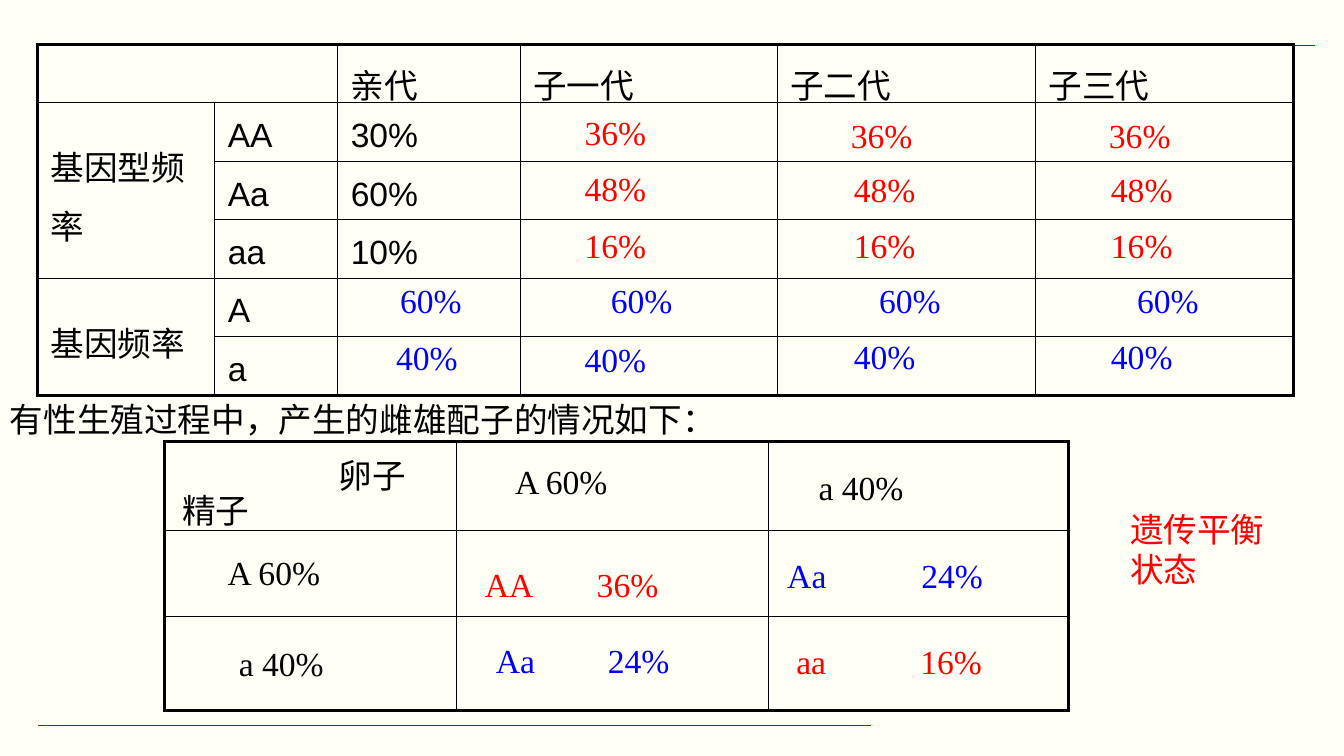
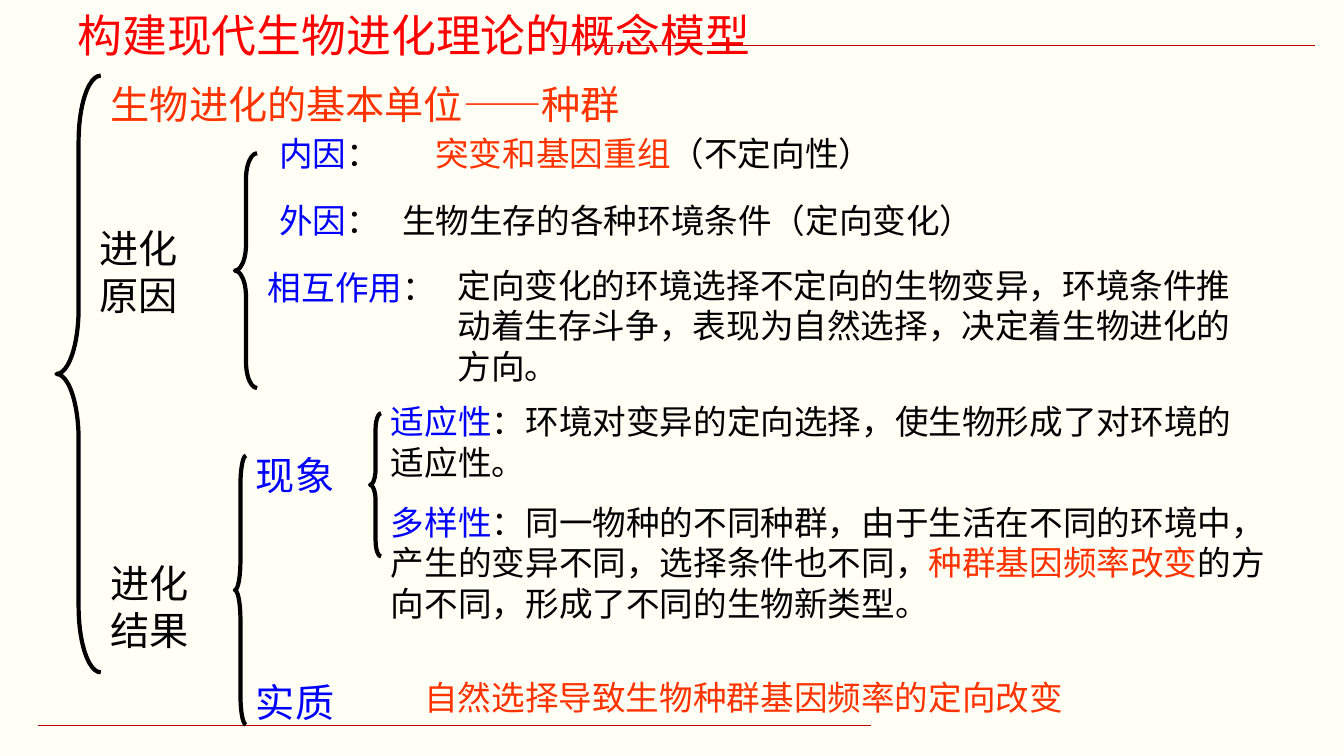
from lxml import etree
from pptx import Presentation
from pptx.dml.color import RGBColor
from pptx.enum.shapes import MSO_CONNECTOR, MSO_SHAPE
from pptx.enum.text import MSO_ANCHOR
from pptx.oxml import parse_xml
from pptx.oxml.ns import nsdecls, qn
from pptx.util import Inches, Pt

COLORS = {"paper": "FFFFF5", "rule": "C00000", "black": "000000",
          "red": "FF0000", "blue": "0000FF", "orange": "FF3300"}
SERIF, SANS, CJK = "Times New Roman", "Arial", "Noto Sans CJK SC"

# Shared rules: x1, x2, y
RULES = [(5.48, 13.04, 0.45), (9.58, 13.04, 0.45), (0.38, 8.64, 7.2)]

# Slide 1: frequencies over the generations
FREQ_ROWS = [
    ["", "", "亲代", "子一代", "子二代", "子三代"],
    ["基因型频率", "AA", "30%", "", "", ""],
    ["", "Aa", "60%", "", "", ""],
    ["", "aa", "10%", "", "", ""],
    ["基因频率", "A", "", "", "", ""],
    ["", "a", "", "", "", ""],
]
FREQ_COLS = [1.76, 1.22, 1.81, 2.55, 2.56, 2.56]
FREQ_MERGES = [((0, 0), (0, 1)), ((1, 0), (3, 0)), ((4, 0), (5, 0))]
# Text, colour, (left, top) in each generation
FREQ_VALUES = [
    ("36%", "red", [(5.7, 1.06), (8.34, 1.09), (10.9, 1.09)]),
    ("48%", "red", [(5.7, 1.62), (8.37, 1.63), (10.92, 1.63)]),
    ("16%", "red", [(5.7, 2.18), (8.37, 2.18), (10.92, 2.18)]),
    ("60%", "blue", [(3.87, 2.73), (5.96, 2.73), (8.62, 2.73), (11.18, 2.73)]),
    ("40%", "blue", [(3.83, 3.29), (5.7, 3.31), (8.37, 3.28), (10.92, 3.28)]),
]

# Slide 1: gamete cross
CROSS_COLS, CROSS_HEIGHTS = [2.9, 3.09, 2.98], [0.88, 0.86, 0.93]
CROSS_LABELS = [
    ("卵子", "black", [(3.26, 4.46)]),
    ("精子", "black", [(1.71, 4.81)]),
    ("A 60%", "black", [(5.01, 4.52), (2.16, 5.43)]),
    ("a 40%", "black", [(8.02, 4.58), (2.27, 6.33)]),
    ("AA", "red", [(4.71, 5.55)]),
    ("36%", "red", [(5.82, 5.55)]),
    ("Aa", "blue", [(7.71, 5.46), (4.82, 6.3)]),
    ("24%", "blue", [(9.04, 5.46), (5.93, 6.3)]),
    ("aa", "red", [(7.8, 6.31)]),
    ("16%", "red", [(9.03, 6.31)]),
]

# Slide 2: left, top, width, height, size, runs of (text, colour)
MODEL_TEXTS = [
    (0.67, 0.03, 11.33, 0.63, 32, [("构建现代生物进化理论的概念模型", "red")]),
    (1, 0.75, 7.22, 0.57, 28, [("生物进化的基本单位——种群", "orange")]),
    (0.89, 2.18, 1.33, 1.03, 28, [("进化原因", "black")]),
    (1, 5.5, 1.33, 1.03, 28, [("进化结果", "black")]),
    (2.67, 1.27, 1.67, 0.5, 24, [("内因", "blue"), ("：", "black")]),
    (2.67, 1.93, 1.78, 0.5, 24, [("外因", "blue"), ("：", "black")]),
    (2.56, 2.6, 2.67, 0.5, 24, [("相互作用", "blue"), ("：", "black")]),
    (4.22, 1.27, 7.67, 0.5, 24,
     [("突变和基因重组", "orange"), ("（不定向性）", "black")]),
    (3.89, 1.93, 8.11, 0.5, 24,
     [("生物生存的各种环境条件（定向变化）", "black")]),
    (4.44, 2.58, 8, 1.31, 24,
     [("定向变化的环境选择不定向的生物变异，环境条件推动着生存斗争，"
       "表现为自然选择，决定着生物进化的方向。", "black")]),
    (2.44, 4.43, 1.56, 0.57, 28, [("现象", "blue")]),
    (3.78, 3.93, 8.67, 0.91, 24,
     [("适应性", "blue"),
      ("：环境对变异的定向选择，使生物形成了对环境的适应性。", "black")]),
    (3.78, 4.93, 9, 1.31, 24,
     [("多样性", "blue"),
      ("：同一物种的不同种群，由于生活在不同的环境中，"
       "产生的变异不同，选择条件也不同，", "black"),
      ("种群基因频率改变", "orange"),
      ("的方向不同，形成了不同的生物新类型。", "black")]),
    (2.44, 6.68, 1.56, 0.57, 28, [("实质", "blue")]),
    (4.11, 6.67, 9.22, 0.5, 24,
     [("自然选择导致生物种群基因频率的定向改变", "orange")]),
]
# Left, top, width, height, curl
BRACES = [(0.56, 0.75, 0.44, 5.92, 1.48), (2.33, 1.52, 0.22, 2.33, 1.17),
          (2.33, 4.52, 0.11, 2.67, 2.67), (3.67, 4.1, 0.11, 1.42, 1.42)]


def rgb(name):
    return RGBColor.from_string(COLORS[name])


def add_run(p, text, size, color, font):
    r = p.add_run()
    r.text = text
    r.font.size = Pt(size)
    r.font.name = font
    r.font.color.rgb = rgb(color)
    ea = etree.SubElement(r.font._element, qn("a:ea"))
    ea.set("typeface", CJK)


def add_text(slide, box, runs, size=24, font=SERIF):
    tf = slide.shapes.add_textbox(*map(Inches, box)).text_frame
    tf.word_wrap = True
    for text, color in runs:
        add_run(tf.paragraphs[0], text, size, color, font)


def add_labels(slide, labels):
    for text, color, places in labels:
        for left, top in places:
            add_text(slide, (left, top, 1.4, 0.5), [(text, color)])


def add_base_slide(prs):
    """Add a blank slide with the shared thin rules."""
    slide = prs.slides.add_slide(prs.slide_layouts[6])
    for x1, x2, y in RULES:
        line = slide.shapes.add_connector(
            MSO_CONNECTOR.STRAIGHT, *map(Inches, (x1, y, x2, y)))
        line.line.color.rgb = rgb("rule")
        line.line.width = Pt(0.5)
        etree.SubElement(line.element.spPr, qn("a:effectLst"))
    return slide


def set_borders(cell, widths):
    """Draw the left, right, top and bottom borders, widths in points."""
    tc_pr = cell._tc.get_or_add_tcPr()
    for i, (side, width) in enumerate(zip("LRTB", widths)):
        tc_pr.insert(i, parse_xml(
            f'<a:ln{side} {nsdecls("a")} w="{Pt(width)}"><a:solidFill>'
            f'<a:srgbClr val="{COLORS["black"]}"/></a:solidFill></a:ln{side}>'))


def add_grid(slide, left, top, cols, heights, texts, merges=()):
    """Add an unfilled table with a thick frame and thin inner lines."""
    n_rows, n_cols = len(heights), len(cols)
    box = map(Inches, (left, top, sum(cols), sum(heights)))
    table = slide.shapes.add_table(n_rows, n_cols, *box).table
    table.first_row = table.horz_banding = False
    for col, width in zip(table.columns, cols):
        col.width = Inches(width)
    for row, height in zip(table.rows, heights):
        row.height = Inches(height)
    for first, last in merges:
        table.cell(*first).merge(table.cell(*last))
    for r in range(n_rows):
        for c in range(n_cols):
            cell = table.cell(r, c)
            cell.fill.background()
            edges = (c == 0, c + cell.span_width == n_cols,
                     r == 0, r + cell.span_height == n_rows)
            set_borders(cell, [2.25 if edge else 1 for edge in edges])
            cell.vertical_anchor = MSO_ANCHOR.MIDDLE
            cell.margin_left = cell.margin_right = Inches(0.13)
            cell.margin_top = cell.margin_bottom = Inches(0.05)
            if texts[r][c]:
                p = cell.text_frame.paragraphs[0]
                p.line_spacing = 1.2
                add_run(p, texts[r][c], 24, "black", SANS)


def add_brace(slide, left, top, width, height, curl):
    sp = slide.shapes.add_shape(MSO_SHAPE.LEFT_BRACE,
                                *map(Inches, (left, top, width, height)))
    sp.adjustments[0] = curl
    sp.shadow.inherit = False
    sp.fill.background()
    sp.line.color.rgb = rgb("black")
    sp.line.width = Pt(3)


def build_frequency_slide(prs):
    slide = add_base_slide(prs)
    add_text(slide, (0, 3.91, 13.33, 0.5),
             [("有性生殖过程中，产生的雌雄配子的情况如下：", "black")])
    add_grid(slide, 1.63, 4.38, CROSS_COLS, CROSS_HEIGHTS, [[""] * 3] * 3)
    add_labels(slide, CROSS_LABELS)
    add_grid(slide, 0.37, 0.44, FREQ_COLS, [0.58] * len(FREQ_ROWS),
             FREQ_ROWS, FREQ_MERGES)
    add_labels(slide, FREQ_VALUES)
    add_text(slide, (11.11, 5, 1.67, 0.91), [("遗传平衡状态", "red")])


def build_model_slide(prs):
    slide = add_base_slide(prs)
    for *box, size, runs in MODEL_TEXTS:
        add_text(slide, box, runs, size, CJK)
    for brace in BRACES:
        add_brace(slide, *brace)


def main():
    prs = Presentation()
    prs.slide_width, prs.slide_height = Inches(13.33), Inches(7.5)
    paper = prs.slide_master.background.fill
    paper.solid()
    paper.fore_color.rgb = rgb("paper")
    build_frequency_slide(prs)
    build_model_slide(prs)
    prs.save("out.pptx")


if __name__ == "__main__":
    main()
